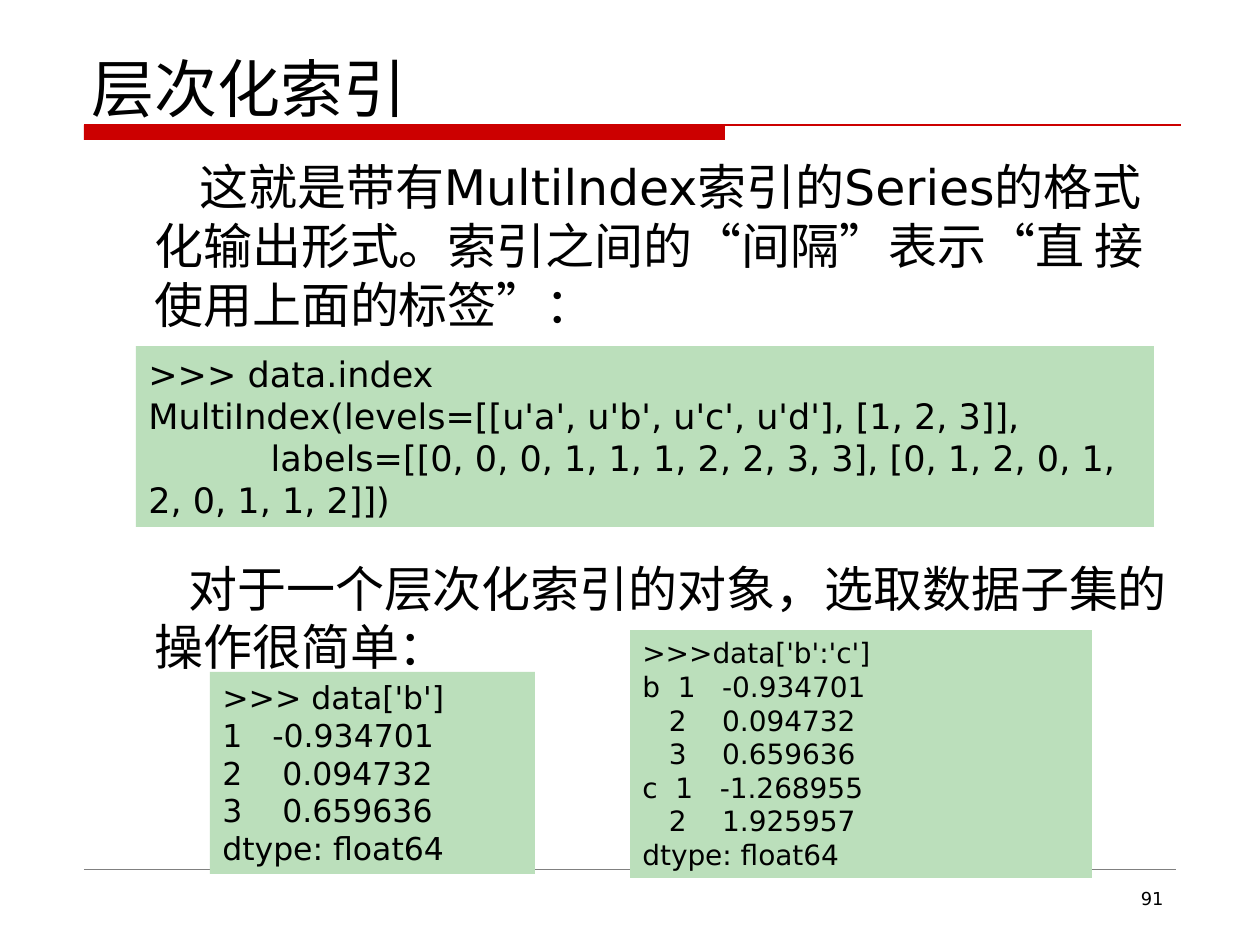
from lxml import etree
from pptx import Presentation, util as u
from pptx.dml.color import RGBColor
from pptx.enum import shapes, text
from pptx.oxml.ns import qn

PX = u.Inches(1) / 126
FONT = "DejaVu Sans"
BLACK = RGBColor(0x00, 0x00, 0x00)
RED = RGBColor(0xCC, 0x00, 0x00)
GREY = RGBColor(0x80, 0x80, 0x80)
GREEN = RGBColor(0xBB, 0xDF, 0xBB)

presentation = Presentation()
presentation.slide_width = u.Inches(10)
presentation.slide_height = u.Inches(7.5)
slide = presentation.slides.add_slide(presentation.slide_layouts[6])


def px(*lengths):
    return [u.Emu(round(length * PX)) for length in lengths]


def add_text(content, box, size, fill=None, align=text.PP_ALIGN.LEFT,
             anchor=text.MSO_ANCHOR.TOP, inset=6, margin=0, indent=0):
    """Add a box with one paragraph per line; a fill makes it a rectangle."""
    if fill is None:
        shape = slide.shapes.add_textbox(*px(*box))
    else:
        shape = slide.shapes.add_shape(shapes.MSO_SHAPE.RECTANGLE, *px(*box))
        shape.shadow.inherit = False
        shape.fill.solid()
        shape.fill.fore_color.rgb = fill
        shape.line.fill.background()
    frame = shape.text_frame
    frame.word_wrap = True
    frame.vertical_anchor = anchor
    frame.margin_top, frame.margin_bottom = px(inset, inset)
    frame.text = content
    for paragraph in frame.paragraphs:
        paragraph.alignment = align
        if margin:
            properties = paragraph._p.get_or_add_pPr()
            left, first = px(margin, indent)
            properties.set("marL", str(left))
            properties.set("indent", str(first))
        for run in paragraph.runs:
            run.font.name = FONT
            run.font.size = u.Pt(size)
            run.font.color.rgb = BLACK


# Title rule and footer rule
bar = slide.shapes.add_shape(shapes.MSO_SHAPE.RECTANGLE, *px(84, 125, 641, 15))
bar.shadow.inherit = False
bar.fill.solid()
bar.fill.fore_color.rgb = RED
bar.line.fill.background()

for right, y, color, width in [(1181, 125, RED, 0.75), (1176, 869, GREY, 0.25)]:
    rule = slide.shapes.add_connector(shapes.MSO_CONNECTOR.STRAIGHT, *px(84, y, right, y))
    rule.line.color.rgb = color
    rule.line.width = u.Pt(width)
    etree.SubElement(rule._element.spPr, qn("a:effectLst"))

# Title, body text and page number
add_text("层次化索引", (79, 42, 1103, 83), 36, anchor=text.MSO_ANCHOR.BOTTOM, inset=0)
add_text("这就是带有Multilndex索引的Series的格式化输出形式。索引之间的“间隔”表示“直 接使用上面的标签”：",
         (78, 157, 1106, 176), 28, inset=0, margin=64, indent=45)
add_text("对于一个层次化索引的对象，选取数据子集的操作很简单：",
         (78, 558, 1106, 118), 28, inset=0, margin=64, indent=34)
add_text("91", (903, 882, 273, 37), 10.2, align=text.PP_ALIGN.RIGHT)

# Code samples
code_samples = [
    ((136, 346, 1018, 181), 20, """>>> data.index
MultiIndex(levels=[[u'a', u'b', u'c', u'd'], [1, 2, 3]],
           labels=[[0, 0, 0, 1, 1, 1, 2, 2, 3, 3], [0, 1, 2, 0, 1, 2, 0, 1, 1, 2]])"""),
    ((210, 672, 325, 202), 18, """>>> data['b']
1   -0.934701
2    0.094732
3    0.659636
dtype: float64"""),
    ((630, 630, 462, 248), 16, """>>>data['b':'c']
b  1   -0.934701
   2    0.094732
   3    0.659636
c  1   -1.268955
   2    1.925957
dtype: float64"""),
]
for box, size, code in code_samples:
    add_text(code, box, size, fill=GREEN)

presentation.save("out.pptx")
